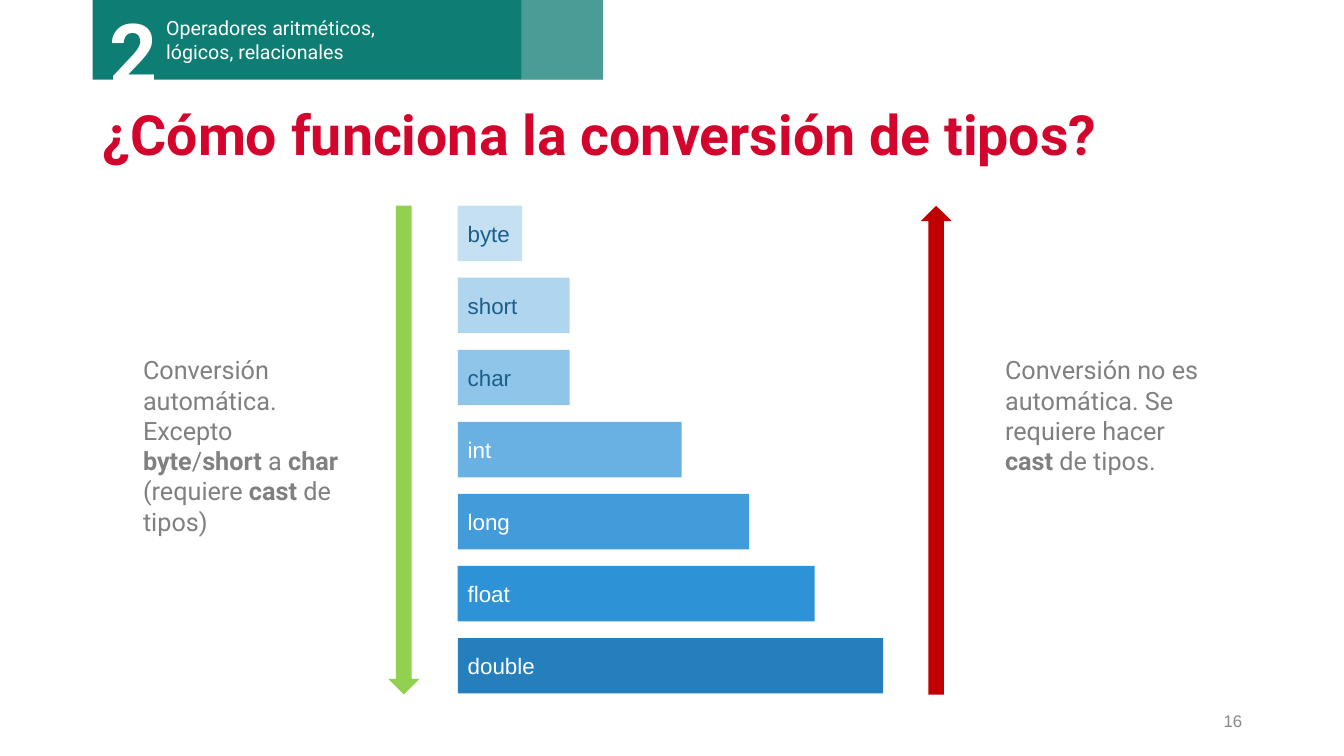
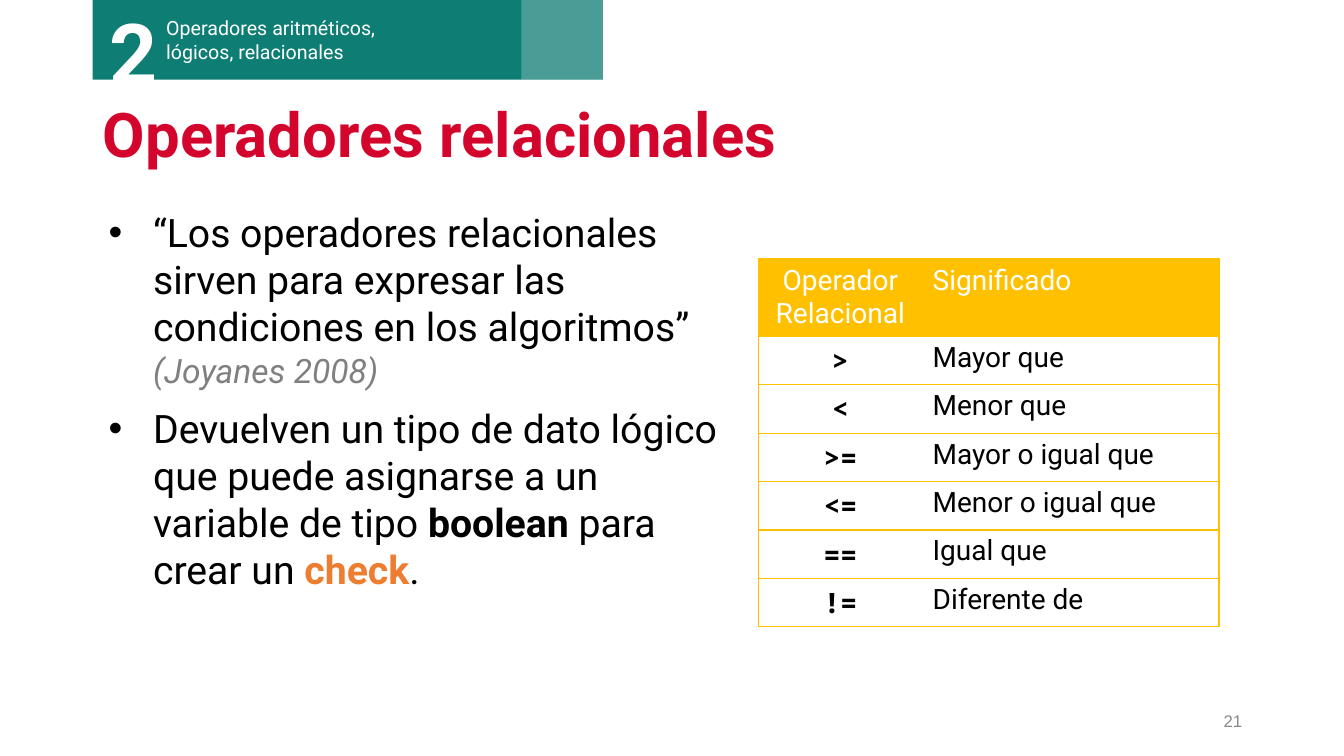
from lxml.etree import SubElement as Sub
from pptx import Presentation
from pptx.dml.color import RGBColor as RGB
from pptx.enum.shapes import MSO_SHAPE as Shape
from pptx.enum.text import MSO_ANCHOR as Anchor, MSO_AUTO_SIZE as Auto, PP_ALIGN as Align
from pptx.oxml.ns import qn
from pptx.util import Inches, Pt

HUE = {
    "red": "D3052C", "teal": "0E7D73", "white": "FFFFFF", "black": "000000",
    "gray": "808080", "page": "888888", "navy": "1B5E8B", "gold": "FFC000",
    "orange": "ED7D31", "up": "C00000", "down": "92D050",
}
BOLD = {"bold": True}
NOTE = {"name": "Roboto", "size": Pt(18), "color": "gray"}
BODY = {"name": "Roboto", "size": Pt(28), "color": "black"}
CELL = {"name": "Roboto", "size": Pt(20), "color": "black"}


def write(frame, paras, style, align=Align.LEFT, anchor=Anchor.TOP):
    frame.word_wrap = True
    frame.vertical_anchor = anchor
    for i, runs in enumerate(paras):
        para = frame.add_paragraph() if i else frame.paragraphs[0]
        para.alignment = align
        for text, extra in runs:
            run = para.add_run()
            run.text = text
            for key, val in {**style, **extra}.items():
                if key == "color":
                    run.font.color.rgb = RGB.from_string(HUE[val])
                else:
                    setattr(run.font, key, val)


def block(slide, kind, area, fill):
    shape = slide.shapes.add_shape(kind, *map(Inches, area))
    shape.shadow.inherit = False
    shape.fill.solid()
    shape.fill.fore_color.rgb = RGB.from_string(fill)
    shape.line.fill.background()
    return shape


deck = Presentation()
deck.slide_width, deck.slide_height = Inches(13.33), Inches(7.5)
slides = []

for name, size, page in [
    ("¿Cómo funciona la conversión de tipos?", 39.6, "16"),
    ("Operadores relacionales", 44, "21"),
]:
    slide = deck.slides.add_slide(deck.slide_layouts[5])
    slides.append(slide)
    title = slide.shapes.title
    title.left, title.top, title.width, title.height = map(Inches, (0.92, 0.93, 11.5, 0.86))
    title.text_frame.auto_size = Auto.NONE
    write(title.text_frame, [[(name, {})]],
          {"name": "Roboto", "size": Pt(size), "color": "red", "bold": True},
          anchor=Anchor.MIDDLE)
    title.text_frame.paragraphs[0].line_spacing = 0.9

    block(slide, Shape.RECTANGLE, (0.92, -0.01, 5.06, 0.8), HUE["teal"])
    for area, text, style, align, anchor in [
        ((1.55, 0.11, 2.75, 0.57), "Operadores aritméticos, lógicos, relacionales",
         {"name": "Roboto", "size": Pt(14), "color": "white"}, Align.LEFT, Anchor.TOP),
        ((0.99, -0.04, 1.12, 1.11), "2",
         {"name": "Roboto", "size": Pt(60), "color": "white", "bold": True},
         Align.LEFT, Anchor.TOP),
        ((9.42, 6.95, 3, 0.4), page,
         {"name": "Arial", "size": Pt(12), "color": "page"}, Align.RIGHT, Anchor.MIDDLE),
    ]:
        box = slide.shapes.add_textbox(*map(Inches, area))
        write(box.text_frame, [[(text, {})]], style, align, anchor)
    veil = block(slide, Shape.RECTANGLE, (5.17, -0.01, 0.81, 0.8), HUE["white"])
    tint = veil.element.spPr.find(qn("a:solidFill"))[0]
    Sub(tint, qn("a:alpha"), val="25000")

types, rules = slides

for i, (name, width, fill, ink) in enumerate([
    ("byte", 0.64, "C5E0F3", "navy"),
    ("short", 1.11, "AFD5EF", "navy"),
    ("char", 1.11, "8FC5E9", "navy"),
    ("int", 2.22, "68B1E2", "white"),
    ("long", 2.89, "429CDA", "white"),
    ("float", 3.54, "2E92D6", "white"),
    ("double", 4.22, "257FBD", "white"),
]):
    bar = block(types, Shape.RECTANGLE, (4.54, 2.04 + i * 0.715, width, 0.55), fill)
    write(bar.text_frame, [[(name, {})]],
          {"name": "Arial", "size": Pt(16), "color": ink}, anchor=Anchor.MIDDLE)

for kind, left, fill in [(Shape.DOWN_ARROW, 3.85, "down"), (Shape.UP_ARROW, 9.13, "up")]:
    block(types, kind, (left, 2.04, 0.31, 4.85), HUE[fill])

for left, height, paras in [
    (1.32, 1.92, [
        [("Conversión automática.", {})],
        [("Excepto ", {}), ("byte", BOLD), ("/", {}), ("short", BOLD), (" a ", {}),
         ("char", BOLD), (" (requiere ", {}), ("cast", BOLD), (" de tipos)", {})],
    ]),
    (9.87, 1.31, [
        [("Conversión no es automática. Se requiere hacer ", {}), ("cast", BOLD),
         (" de tipos.", {})],
    ]),
]:
    box = types.shapes.add_textbox(*map(Inches, (left, 3.47, 2.21, height)))
    write(box.text_frame, paras, NOTE)

box = rules.shapes.add_textbox(*map(Inches, (0.92, 2.02, 6.3, 4.78)))
write(box.text_frame, [
    [("“Los operadores relacionales sirven para expresar las condiciones en los algoritmos” ", {}),
     ("(Joyanes 2008)", {"size": Pt(24), "color": "gray", "italic": True})],
    [("Devuelven un tipo de dato lógico que puede asignarse a un variable de tipo ", {}),
     ("boolean", BOLD), (" para crear un ", {}),
     ("check", {"color": "orange", "bold": True}), (".", {})],
], BODY)
for i, para in enumerate(box.text_frame.paragraphs):
    para.space_before = Pt(10 if i else 0)
    prop = para._p.get_or_add_pPr()
    prop.set("marL", str(Inches(0.5)))
    prop.set("indent", str(Inches(-0.44)))
    Sub(Sub(prop, qn("a:buClr")), qn("a:srgbClr"), val=HUE["black"])
    Sub(prop, qn("a:buFont"), typeface="Arial")
    Sub(prop, qn("a:buChar"), char="•")

rows = [
    ("Operador Relacional", "Significado"),
    (">", "Mayor que"),
    ("<", "Menor que"),
    (">=", "Mayor o igual que"),
    ("<=", "Menor o igual que"),
    ("==", "Igual que"),
    ("!=", "Diferente de"),
]
frame = rules.shapes.add_table(len(rows), 2, *map(Inches, (7.52, 2.57, 4.57, 3.63)))
grid = frame.table
grid.first_row = grid.horz_banding = False
for style in frame.element.iter(qn("a:tableStyleId")):
    style.text = "{2D5ABB26-0587-4C30-8999-92F81FD0307C}"
for col, width in zip(grid.columns, (1.63, 2.94)):
    col.width = Inches(width)
for r, row in enumerate(rows):
    grid.rows[r].height = Inches(0.48 if r else 0.75)
    for c, text in enumerate(row):
        cell = grid.cell(r, c)
        prop = cell._tc.get_or_add_tcPr()
        for side in ("RTB" if c else "LTB"):
            edge = Sub(prop, qn("a:ln" + side), w=str(Pt(1)))
            Sub(Sub(edge, qn("a:solidFill")), qn("a:srgbClr"), val=HUE["gold"])
        cell.fill.solid()
        cell.fill.fore_color.rgb = RGB.from_string(HUE["white" if r else "gold"])
        if r == 0:
            extra = {"color": "white"}
        elif c == 0:
            extra = {"name": "Noto Sans Mono", "bold": True}
        else:
            extra = {}
        write(cell.text_frame, [[(text, extra)]], CELL, Align.LEFT if c else Align.CENTER)

deck.save("out.pptx")
